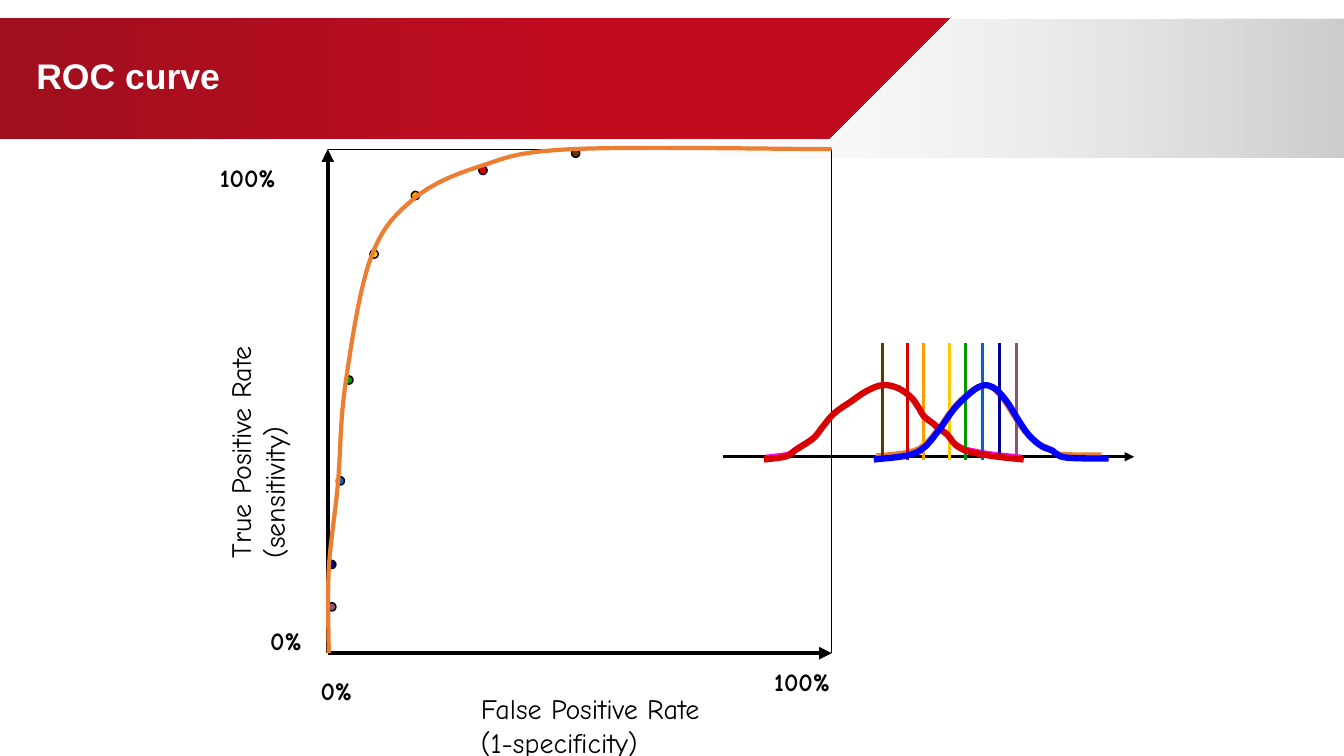
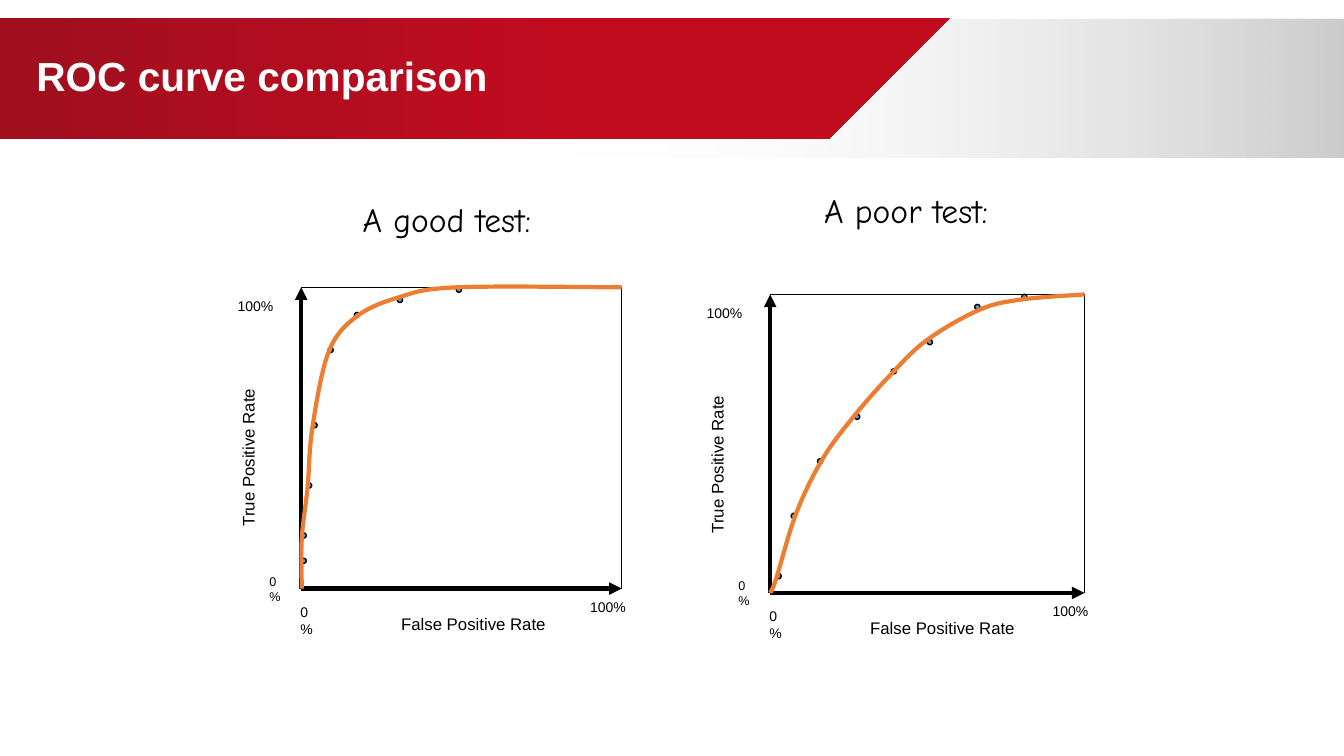
from lxml import etree
from pptx import Presentation
from pptx.dml.color import RGBColor
from pptx.enum.shapes import MSO_CONNECTOR, MSO_SHAPE
from pptx.enum.text import MSO_ANCHOR, MSO_AUTO_SIZE, PP_ALIGN
from pptx.oxml.ns import qn
from pptx.util import Cm, Pt

STRAIGHT = MSO_CONNECTOR.STRAIGHT
OVAL = MSO_SHAPE.OVAL
MIDDLE = MSO_ANCHOR.MIDDLE
GROW = MSO_AUTO_SIZE.SHAPE_TO_FIT_TEXT
LEFT = PP_ALIGN.LEFT

BLACK = "000000"
WHITE = "FFFFFF"
CURVE_ORANGE = "ED7D31"
HEALTHY_RED = "D80000"
DISEASED_BLUE = "0000FF"
MARKER_BLUE = "5B9BD5"
BODY_FONT = "Arial"
HAND_FONT = "Comic Neue"

GOOD_CURVE = [(100, 100), (48.5, 100), (30.2, 96.6), (16.9, 90), (8.5, 78.3),
              (3.5, 53.3), (2, 33.4), (0.2, 16.6), (0.2, 0)]
GOOD_MARKERS = [(49.2, 99.2), (30.8, 95.8), (17.4, 90.8), (9.2, 79.2),
                (4.2, 54.2), (2.5, 34.2), (0.8, 17.6), (0.8, 9.2)]
POOR_CURVE = [(100, 100), (80.1, 98.3), (66.7, 94.9), (50, 84.8), (38.5, 73.3),
              (26.6, 59.1), (16.7, 44.9), (8.3, 26.7), (1.9, 4.7), (0, 0)]
POOR_MARKERS = [(80.9, 99.2), (65.9, 95.8), (50.8, 84), (39.3, 74.2),
                (27.7, 59), (15.9, 44.1), (7.5, 25.8), (2.7, 5.6)]

HEALTHY_BELL = [(0, 0), (8.5, 4), (12, 12), (19, 28), (22.5, 42.7), (27.1, 61.3),
                (33.7, 77.3), (39.5, 90.7), (45.7, 98.7), (51.6, 94.7),
                (56.6, 82.7), (59.7, 68), (61.6, 57.3), (65.5, 46.7),
                (67.1, 41.3), (70.5, 33.3), (73.6, 20), (77.5, 12), (82.2, 8),
                (89.1, 4), (100, 0)]
DISEASED_BELL = [(0, 0), (14.2, 5.3), (21.5, 16), (28.3, 41.3), (35.2, 70.7),
                 (44.6, 96), (50.6, 96), (56.2, 78.7), (62.2, 49.3),
                 (66.5, 30.7), (71.7, 17.3), (76, 12), (81.5, 2.7), (100, 1.3)]

THRESHOLDS = [(22.23, "663300"), (22.86, "D80000"), (23.28, "FF9900"),
              (23.92, "FFCC00"), (24.34, "009900"), (24.77, "0563C1"),
              (25.19, "000099"), (25.61, "954F72")]

# text, axis corner, offset from corner, box size, points, rotation
LARGE_LABELS = [
    ("True Positive Rate (sensitivity)", (0, 100), (-5.59, 5.77), (7.62, 1.96), 20, 270),
    ("0%", (0, 0), (-1.7, -0.84), (1.47, 1.02), 18, 0),
    ("100%", (0, 100), (-2.97, 0.2), (2.74, 1.02), 18, 0),
    ("False Positive Rate (1-specificity)", (0, 0), (3.61, 0.84), (6.78, 1.96), 20, 0),
    ("0%", (0, 0), (-0.43, 0.43), (1.47, 1.02), 18, 0),
    ("100%", (100, 0), (-1.7, 0.2), (2.34, 1.02), 18, 0),
]
SMALL_LABELS = [
    ("True Positive Rate", (0, 100), (-3.6, 3.62), (4.53, 0.77), 12, 270),
    ("0%", (0, 0), (-1.05, -0.5), (0.93, 1.02), 9, 0),
    ("100%", (0, 100), (-1.85, 0.13), (1.74, 0.69), 10, 0),
    ("False Positive Rate", (0, 0), (2.27, 0.51), (4.27, 0.77), 12, 0),
    ("0%", (0, 0), (-0.27, 0.25), (0.93, 1.12), 10, 0),
    ("100%", (100, 0), (-1.05, 0.13), (1.46, 0.69), 10, 0),
]


def rgb(code):
    return RGBColor.from_string(code)


def scale_to(frame, points):
    left, top, width, height = frame
    return [(left + width * x / 100, top + height * (1 - y / 100)) for x, y in points]


def bezier_through(points):
    padded = [points[0], *points, points[-1]]
    vertices = []
    for before, start, end, after in zip(padded, padded[1:], padded[2:], padded[3:]):
        vertices.append(tuple(s + (e - b) / 6 for b, s, e in zip(before, start, end)))
        vertices.append(tuple(e - (a - s) / 6 for s, e, a in zip(start, end, after)))
        vertices.append(end)
    return vertices


class Deck:
    def __init__(self):
        self.presentation = Presentation()
        self.presentation.slide_width = Cm(33.87)
        self.presentation.slide_height = Cm(19.05)
        self.layout = self.presentation.slide_layouts[5]
        self.slide = None

    def open_slide(self, heading, size):
        first = self.slide is None
        self.slide = self.presentation.slides.add_slide(self.layout)
        if first:
            self.dress_layout()
        title = self.slide.shapes.title
        title.left, title.top, title.width, title.height = map(Cm, (0.66, 0.38, 22.81, 3.18))
        title.text_frame.text = heading
        title.text_frame.vertical_anchor = MIDDLE
        title.text_frame.paragraphs[0].line_spacing = 0.9
        self.format_text(title, size, BODY_FONT, WHITE, True)

    def dress_layout(self):
        grey = self.band([(33.87, 0.46), (17.15, 0.48), (13.94, 3.96), (33.87, 3.96)],
                         [(0, WHITE, 0), (1, "505150", 30)])
        red = self.band([(0, 0.46), (23.93, 0.46), (20.88, 3.51), (0, 3.51)],
                        [(0, "9F0F1E", 100), (0.6, "C10C20", 100)])
        for index, band in enumerate((grey, red), start=2):
            self.layout.shapes.element.insert(index, band.element)

    def outline(self, vertices, close):
        start, *rest = [(Cm(x), Cm(y)) for x, y in vertices]
        builder = self.slide.shapes.build_freeform(*start, scale=1.0)
        builder.add_line_segments(rest, close=close)
        shape = builder.convert_to_shape()
        shape.shadow.inherit = False
        return shape

    def band(self, corners, stops):
        band = self.outline(corners, True)
        band.line.fill.background()
        band.fill.gradient()
        band.fill.gradient_angle = 0
        for stop, (position, color, _) in zip(band.fill.gradient_stops, stops):
            stop.position = position
            stop.color.rgb = rgb(color)
        for color, (_, _, opacity) in zip(band.element.iter(qn("a:srgbClr")), stops):
            etree.SubElement(color, qn("a:alpha"), val=str(opacity * 1000))
        return band

    def curve(self, frame, points, color, weight):
        knots = scale_to(frame, points)
        curve = self.outline([knots[0], *bezier_through(knots)], False)
        curve.fill.background()
        curve.line.color.rgb = rgb(color)
        curve.line.width = Pt(weight)
        track = next(curve.element.iter(qn("a:path")))
        segments = track.findall(qn("a:lnTo"))
        for index in range(0, len(segments), 3):
            cubic = etree.SubElement(track, qn("a:cubicBezTo"))
            for segment in segments[index:index + 3]:
                cubic.append(segment[0])
                track.remove(segment)

    def line(self, start, end, color, weight, arrow=False):
        line = self.slide.shapes.add_connector(STRAIGHT, *map(Cm, (*start, *end)))
        line.line.color.rgb = rgb(color)
        line.line.width = Pt(weight)
        if arrow:
            stroke = next(line.element.iter(qn("a:ln")))
            etree.SubElement(stroke, qn("a:tailEnd"), type="triangle")
        etree.SubElement(line.element.spPr, qn("a:effectLst"))

    def marker(self, center, diameter, color):
        x, y = center
        corner = (x - diameter / 2, y - diameter / 2)
        marker = self.slide.shapes.add_shape(OVAL, *map(Cm, (*corner, diameter, diameter)))
        marker.shadow.inherit = False
        marker.fill.solid()
        marker.fill.fore_color.rgb = rgb(color)
        marker.line.color.rgb = rgb(BLACK)
        marker.line.width = Pt(1)

    def label(self, text, position, extent, size, font, bold=False, rotation=0):
        label = self.slide.shapes.add_textbox(*map(Cm, (*position, *extent)))
        label.rotation = rotation
        label.text_frame.word_wrap = True
        label.text_frame.auto_size = GROW
        label.text_frame.text = text
        self.format_text(label, size, font, BLACK, bold)

    def format_text(self, holder, size, font, color, bold):
        for paragraph in holder.text_frame.paragraphs:
            paragraph.alignment = LEFT
            for run in paragraph.runs:
                run.font.size = Pt(size)
                run.font.name = font
                run.font.bold = bold
                run.font.color.rgb = rgb(color)

    def roc_plot(self, frame, curve, markers, colors, diameter, labels, font):
        origin, top_left, top_right, bottom_right = scale_to(
            frame, [(0, 0), (0, 100), (100, 100), (100, 0)])
        self.line(top_left, top_right, BLACK, 1)
        self.line(top_right, bottom_right, BLACK, 1)
        self.line(origin, top_left, BLACK, 3, arrow=True)
        self.line(origin, bottom_right, BLACK, 3, arrow=True)
        for text, corner, (dx, dy), extent, size, rotation in labels:
            x, y = scale_to(frame, [corner])[0]
            bold = font == HAND_FONT and text.endswith("%")
            self.label(text, (x + dx, y + dy), extent, size, font, bold, rotation)
        for center, color in zip(scale_to(frame, markers), colors):
            self.marker(center, diameter, color)
        self.curve(frame, curve, CURVE_ORANGE, 3)

    def distributions(self):
        self.line((18.21, 11.51), (28.58, 11.51), BLACK, 2.25, arrow=True)
        self.curve((22.07, 9.68, 5.69, 1.8), DISEASED_BELL, CURVE_ORANGE, 3)
        self.curve((19.3, 9.68, 6.45, 1.83), HEALTHY_BELL, "FF00FF", 3)
        for x, color in THRESHOLDS:
            self.line((x, 8.64), (x, 11.58), color, 2.25)
        self.curve((19.25, 9.68, 6.55, 1.9), HEALTHY_BELL, HEALTHY_RED, 4.5)
        self.curve((22.02, 9.68, 5.92, 1.9), DISEASED_BELL, DISEASED_BLUE, 4.5)


def main():
    deck = Deck()

    deck.open_slide("ROC curve", 25.4)
    threshold_colors = [color for _, color in THRESHOLDS]
    deck.roc_plot((8.26, 3.76, 12.7, 12.7), GOOD_CURVE, GOOD_MARKERS,
                  threshold_colors, 0.21, LARGE_LABELS, HAND_FONT)
    deck.distributions()

    deck.open_slide("ROC curve comparison", 29)
    comparisons = [
        ("A good test:", (8.89, 4.88), (7.59, 7.24, 8.08, 7.59), GOOD_CURVE, GOOD_MARKERS),
        ("A poor test:", (20.52, 4.65), (19.41, 7.42, 7.92, 7.52), POOR_CURVE, POOR_MARKERS),
    ]
    for caption, position, frame, curve, markers in comparisons:
        deck.label(caption, position, (5.92, 1.27), 24, HAND_FONT)
        deck.roc_plot(frame, curve, markers, [MARKER_BLUE] * len(markers),
                      0.13, SMALL_LABELS, BODY_FONT)

    deck.presentation.save("out.pptx")


if __name__ == "__main__":
    main()
